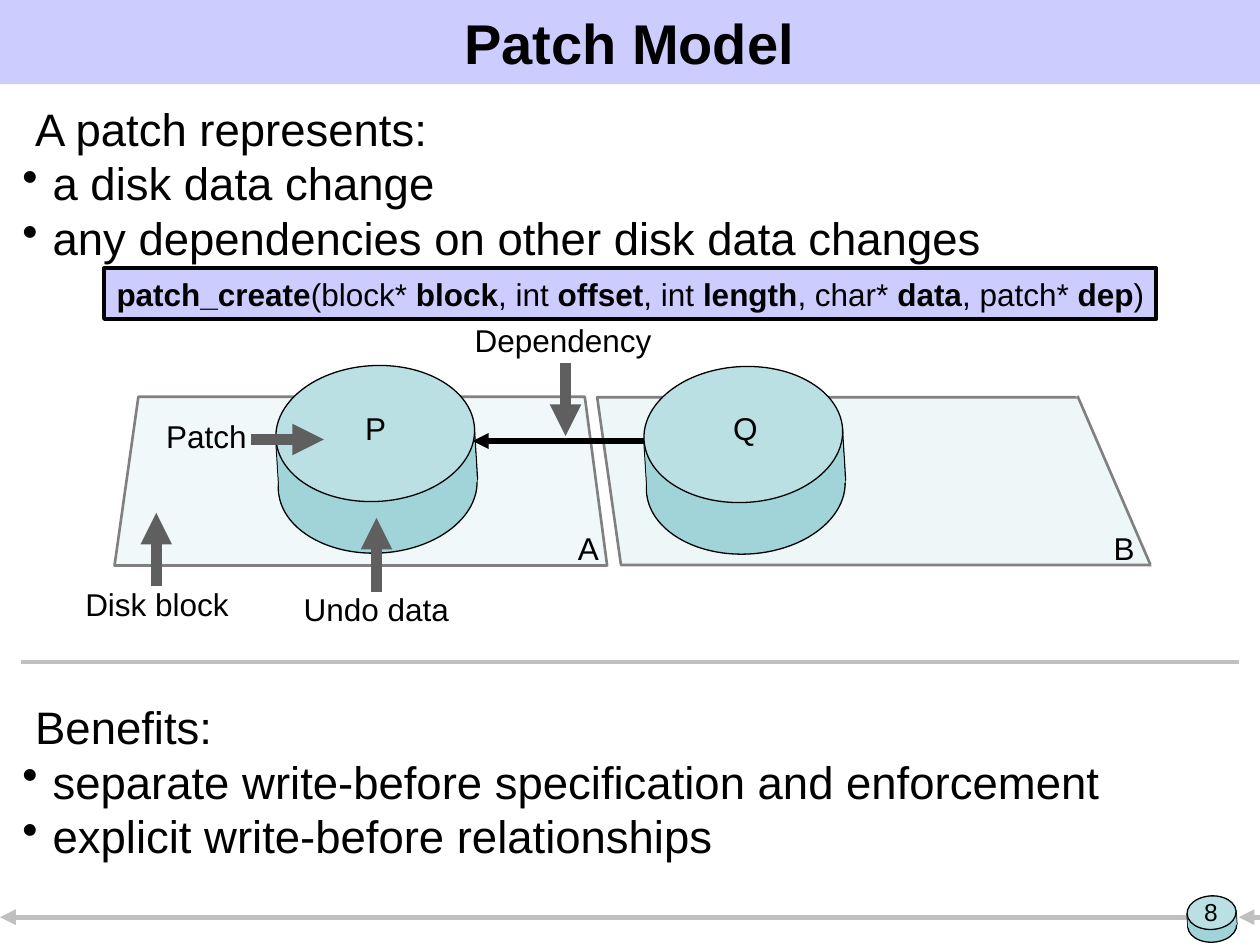
"""Build the Patch Model slide."""
from lxml.etree import SubElement
from pptx import Presentation
from pptx.dml.color import RGBColor
from pptx.enum.shapes import MSO_CONNECTOR, MSO_SHAPE
from pptx.enum.text import MSO_ANCHOR, PP_ALIGN
from pptx.oxml.ns import qn
from pptx.util import Cm, Pt

HUES = {
    "ink": "000000", "white": "FFFFFF", "band": "CCCCFF", "rule": "C0C0C0",
    "edge": "808080", "mark": "5F5F5F", "side": "A0D4D8", "top": "BBE0E3",
    "left": "F1F8F9", "right": "EEF7F8",
}


def hue(name):
    return RGBColor.from_string(HUES[name])


class Slide:
    """Hold the style and the current slide."""

    face = "Arial"

    def __init__(self, deck):
        self.page = deck.slides.add_slide(deck.slide_layouts[6])
        self.shapes = self.page.shapes

    def paint(self, shape, fill, edge=None, width=0.75):
        shape.shadow.inherit = False
        shape.fill.solid()
        shape.fill.fore_color.rgb = hue(fill)
        if edge:
            shape.line.color.rgb = hue(edge)
            shape.line.width = Pt(width)
        else:
            shape.line.fill.background()
        return shape

    def box(self, kind, x, y, w, h, fill, edge=None, width=0.75, turn=0, host=None):
        shapes = host.shapes if host else self.shapes
        shape = shapes.add_shape(kind, Cm(x), Cm(y), Cm(w), Cm(h))
        shape.rotation = turn
        return self.paint(shape, fill, edge, width)

    def plate(self, points, fill):
        spots = [(Cm(x), Cm(y)) for x, y in points]
        build = self.shapes.build_freeform(*spots[0])
        build.add_line_segments(spots[1:], close=True)
        self.paint(build.convert_to_shape(), fill, "edge", 1.5)

    def line(self, x1, y1, x2, y2, tint, width, arrow=False):
        line = self.shapes.add_connector(
            MSO_CONNECTOR.STRAIGHT, Cm(x1), Cm(y1), Cm(x2), Cm(y2))
        line.line.color.rgb = hue(tint)
        line.line.width = Pt(width)
        if arrow:
            SubElement(line.line._get_or_add_ln(), qn("a:tailEnd"), type="triangle")
        SubElement(line.element.spPr, qn("a:effectLst"))

    def disc(self, x, y, scale=1):
        rect, oval = MSO_SHAPE.RECTANGLE, MSO_SHAPE.OVAL
        group = self.shapes.add_group_shape()
        for kind, dx, dy, w, h, fill, edge, turn in (
            (rect, 0.03, 1.35, 4.01, 1.07, "side", "ink", 356.4),
            (oval, 0.05, 1.04, 4.01, 2.74, "side", "ink", 356.9),
            (rect, 0.04, 1.4, 3.99, 1.07, "side", None, 356.4),
            (oval, 0, 0, 4.01, 2.74, "top", "ink", 356.9),
        ):
            self.box(kind, x + dx * scale, y + dy * scale, w * scale, h * scale,
                     fill, edge, turn=turn, host=group)

    def font(self, para, size, bold=None):
        font = para.font
        font.name, font.size, font.bold = self.face, Pt(size), bold
        font.color.rgb = hue("ink")

    def text(self, words, x, y, w, h=1.02, size=18, bold=False, wrap=False,
             align=PP_ALIGN.LEFT, anchor=MSO_ANCHOR.TOP):
        frame = self.shapes.add_textbox(Cm(x), Cm(y), Cm(w), Cm(h)).text_frame
        frame.word_wrap = wrap
        frame.vertical_anchor = anchor
        para = frame.paragraphs[0]
        para.text, para.alignment = words, align
        self.font(para, size, bold)

    def list(self, head, items, x, y, w):
        frame = self.shapes.add_textbox(Cm(x), Cm(y), Cm(w), Cm(3.56)).text_frame
        frame.word_wrap = True
        for i, words in enumerate([head, *items]):
            para = frame.add_paragraph() if i else frame.paragraphs[0]
            para.text = words
            props = para._p.get_or_add_pPr()
            props.set("marL", str(Cm(0.61 if i else 0.26)))
            if i:
                props.set("indent", str(-Cm(0.61)))
                SubElement(props, qn("a:buChar"), char="•")
            self.font(para, 26)

    def code(self, parts, x, y, w, h):
        shape = self.box(MSO_SHAPE.RECTANGLE, x, y, w, h, "band", "ink", 2.25)
        shape.text_frame.word_wrap = False
        para = shape.text_frame.paragraphs[0]
        para.alignment = PP_ALIGN.LEFT
        self.font(para, 18)
        for i, words in enumerate(parts):
            run = para.add_run()
            run.text, run.font.bold = words, i % 2 == 0
            run.font.color.rgb = hue("ink")


def main():
    deck = Presentation()
    deck.slide_width, deck.slide_height = Cm(25.4), Cm(19.05)
    slide = Slide(deck)

    slide.line(23.93, 18.49, 0, 18.49, "rule", 3, True)
    slide.disc(23.93, 18.06, 0.247)
    slide.box(MSO_SHAPE.RECTANGLE, 0, 0, 25.4, 1.7, "band")
    slide.line(25.4, 18.49, 24.97, 18.49, "rule", 3, True)
    slide.text("Patch Model", 0.2, 0.12, 24.97, 1.47, 32, True, True,
               PP_ALIGN.CENTER, MSO_ANCHOR.MIDDLE)

    block = slide.box(MSO_SHAPE.PARALLELOGRAM, 12.04, 8.01, 11.23, 3.38,
                      "right", "edge", 1.5)
    block.adjustments[0] = 0.142
    block.element.spPr.get_or_add_xfrm().set("flipH", "1")
    slide.plate([(2.31, 11.4), (12.24, 11.4), (11.79, 8), (2.79, 8)], "left")
    slide.box(MSO_SHAPE.RECTANGLE, 20.9, 9.12, 4.93, 1.52, "white", turn=66)
    slide.line(23.19, 11.38, 21.72, 7.98, "edge", 1.5)
    slide.disc(5.56, 7.37)
    slide.disc(12.98, 7.39)

    for ends in ((7.59, 11.94, 7.59, 10.44), (5.05, 8.86, 6.53, 8.86),
                 (11.4, 7.32, 11.4, 8.79), (3.15, 11.81, 3.15, 10.34)):
        slide.line(*ends, "mark", 6, True)
    slide.line(12.98, 8.89, 9.53, 8.89, "ink", 3, True)

    for label in (("Undo data", 5.87, 11.76, 3.6), ("Patch", 3.1, 8.28, 2.3),
                  ("Dependency", 9.32, 6.35, 4.3), ("Disk block", 1.47, 11.66, 3.6),
                  ("P", 7.11, 8.13, 1), ("Q", 14.53, 8.13, 1.1),
                  ("A", 11.4, 10.54, 1), ("B", 22.2, 10.54, 1)):
        slide.text(*label)

    slide.list("A patch represents:",
               ["a disk data change", "any dependencies on other disk data changes"],
               0.2, 1.91, 20.32)
    slide.list("Benefits:",
               ["separate write-before specification and enforcement",
                "explicit write-before relationships"],
               0.2, 13.97, 22.86)
    slide.line(0.43, 13.34, 24.97, 13.34, "rule", 2.25)
    slide.code(["patch_create", "(block* ", "block", ", int ", "offset", ", int ",
                "length", ", char* ", "data", ", patch* ", "dep", ")"],
               2.1, 5.41, 21.21, 1.02)
    slide.text("8", 23.8, 17.96, 1.22, 1.32, 14, wrap=True, align=PP_ALIGN.CENTER)
    deck.save("out.pptx")


if __name__ == "__main__":
    main()
